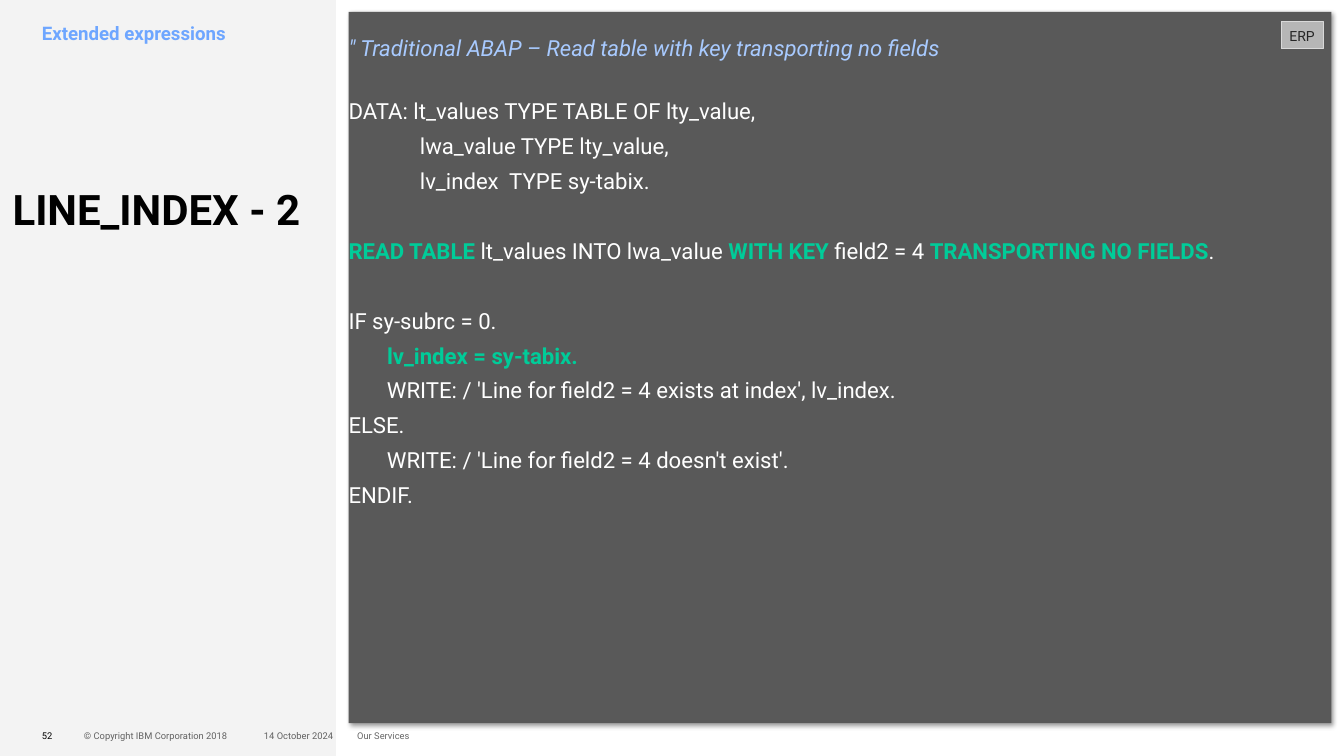
from lxml.etree import SubElement
from pptx import Presentation
from pptx.dml.color import RGBColor
from pptx.enum.shapes import MSO_SHAPE
from pptx.enum.text import MSO_ANCHOR, PP_ALIGN
from pptx.oxml.ns import qn
from pptx.util import Cm, Pt

COLOURS = {
    "black": "000000",
    "sidebar": "F3F3F3",
    "panel": "595959",
    "white": "FFFFFF",
    "topic": "6EA6FF",
    "comment": "A8CAFF",
    "keyword": "00CC99",
    "tag": "B6B6B6",
    "tag_line": "D9D9D9",
    "tag_text": "262626",
}

# Space before each line in points, then the line; keywords stand between asterisks
LINE_GAP, BLOCK_GAP = 6, 36
CODE = [
    (0, "\" Traditional ABAP – Read table with key transporting no fields"),
    (30, "DATA: lt_values TYPE TABLE OF lty_value,"),
    (LINE_GAP, "             lwa_value TYPE lty_value,"),
    (LINE_GAP, "             lv_index  TYPE sy-tabix."),
    (BLOCK_GAP, "*READ TABLE *lt_values INTO lwa_value *WITH KEY *field2 = 4 *TRANSPORTING NO FIELDS*."),
    (BLOCK_GAP, "IF sy-subrc = 0."),
    (LINE_GAP, "*       lv_index = sy-tabix.*"),
    (LINE_GAP, "       WRITE: / 'Line for field2 = 4 exists at index', lv_index."),
    (LINE_GAP, "ELSE."),
    (LINE_GAP, "       WRITE: / 'Line for field2 = 4 doesn't exist'."),
    (LINE_GAP, "ENDIF."),
]


def colour(name):
    return RGBColor.from_string(COLOURS[name])


class SlideBuilder:
    font_name = "Roboto"

    def __init__(self, page):
        self.page = page

    def style(self, para, size, colour_name, bold=False, italic=False):
        font = para.font
        font.name, font.size = self.font_name, Pt(size)
        font.bold, font.italic = bold, italic
        font.color.rgb = colour(colour_name)

    def frame(self, box, anchor=MSO_ANCHOR.TOP, top=0):
        frame = box.text_frame
        frame.word_wrap = True
        frame.vertical_anchor = anchor
        frame.margin_left = frame.margin_right = frame.margin_bottom = 0
        frame.margin_top = Cm(top)
        return frame

    def rectangle(self, place, fill, line=None):
        box = self.page.shapes.add_shape(MSO_SHAPE.RECTANGLE, *map(Cm, place))
        box.shadow.inherit = False
        box.fill.solid()
        box.fill.fore_color.rgb = colour(fill)
        if line:
            box.line.color.rgb = colour(line)
            box.line.width = Pt(0.75)
        else:
            box.line.fill.background()
        return box

    def text(self, place, words, size, colour_name, bold=False, spacing=1.0,
             anchor=MSO_ANCHOR.TOP, align=PP_ALIGN.LEFT, opacity=100):
        box = self.page.shapes.add_textbox(*map(Cm, place))
        para = self.frame(box, anchor).paragraphs[0]
        para.text = words
        para.alignment = align
        para.line_spacing = spacing
        self.style(para, size, colour_name, bold)
        if opacity < 100:
            for shade in para._p.iter(qn("a:srgbClr")):
                SubElement(shade, qn("a:alpha"), val=str(opacity * 1000))

    def footer(self, left, width, words, align=PP_ALIGN.LEFT, opacity=60):
        self.text((left, 21.95, width, 0.61), words, 8, "black",
                  anchor=MSO_ANCHOR.MIDDLE, align=align, opacity=opacity)

    def tag(self, place, words):
        box = self.rectangle(place, "tag", "tag_line")
        frame = box.text_frame
        frame.word_wrap = False
        frame.vertical_anchor = MSO_ANCHOR.MIDDLE
        para = frame.paragraphs[0]
        para.text = words
        para.alignment = PP_ALIGN.CENTER
        para.line_spacing = 1.05
        self.style(para, 12, "tag_text")

    def code_panel(self, place, lines):
        box = self.rectangle(place, "panel")
        self.drop_shadow(box)
        frame = self.frame(box, top=0.64)
        for number, (gap, line) in enumerate(lines):
            para = frame.add_paragraph() if number else frame.paragraphs[0]
            para.alignment = PP_ALIGN.LEFT
            para.line_spacing = 1.05
            para.space_before = Pt(gap)
            is_comment = line.startswith('"')
            self.style(para, 19, "comment" if is_comment else "white", italic=is_comment)
            for position, part in enumerate(line.split("*")):
                if not part:
                    continue
                span = para.add_run()
                span.text = part
                if position % 2:
                    span.font.bold = True
                    span.font.color.rgb = colour("keyword")

    def drop_shadow(self, box):
        effects = box._element.spPr.find(qn("a:effectLst"))
        shadow = SubElement(effects, qn("a:outerShdw"), blurRad=str(Pt(4)), dist=str(Pt(3)),
                            dir=str(45 * 60000), algn="tl", rotWithShape="0")
        shade = SubElement(shadow, qn("a:srgbClr"), val=COLOURS["black"])
        SubElement(shade, qn("a:alpha"), val="40000")


def main():
    deck = Presentation()
    deck.slide_width, deck.slide_height = Cm(40.64), Cm(22.86)
    builder = SlideBuilder(deck.slides.add_slide(deck.slide_layouts[6]))

    # Sidebar and footer
    builder.rectangle((0, 0, 10.16, 22.86), "sidebar")
    builder.footer(1.27, 0.91, "52", opacity=100)
    builder.footer(2.54, 6.35, "© Copyright IBM Corporation 2018")
    builder.footer(6.27, 3.81, "14 October 2024", align=PP_ALIGN.RIGHT)
    builder.footer(10.8, 6.35, "Our Services")

    # Title and topic
    builder.text((0.38, 5.72, 9.65, 10.16), "LINE_INDEX - 2", 36, "black", bold=True, spacing=0.9)
    builder.text((1.27, 0.74, 8.26, 2.29), "Extended expressions", 16, "topic",
                 bold=True, spacing=0.9)

    # Code listing with its system tag
    builder.code_panel((10.54, 0.36, 29.72, 21.51), CODE)
    builder.tag((38.74, 0.64, 1.27, 0.84), "ERP")

    deck.save("out.pptx")


if __name__ == "__main__":
    main()
